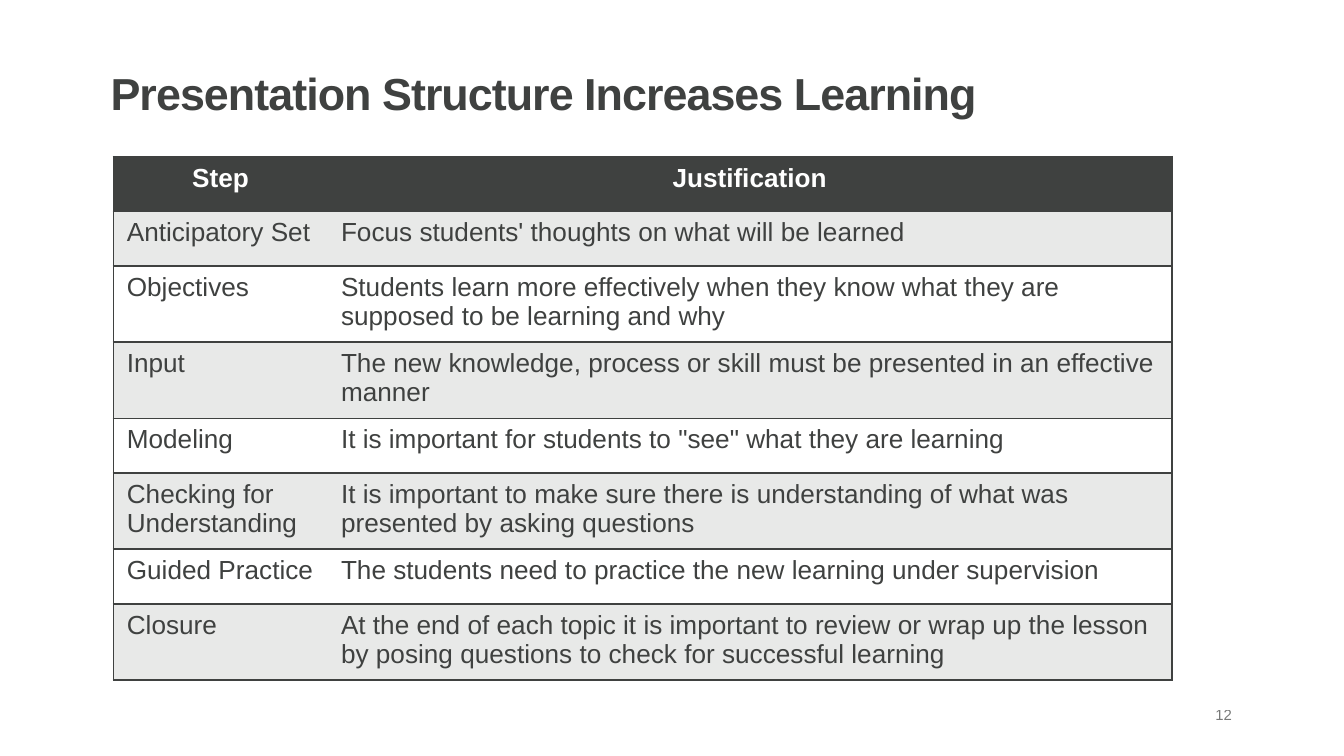
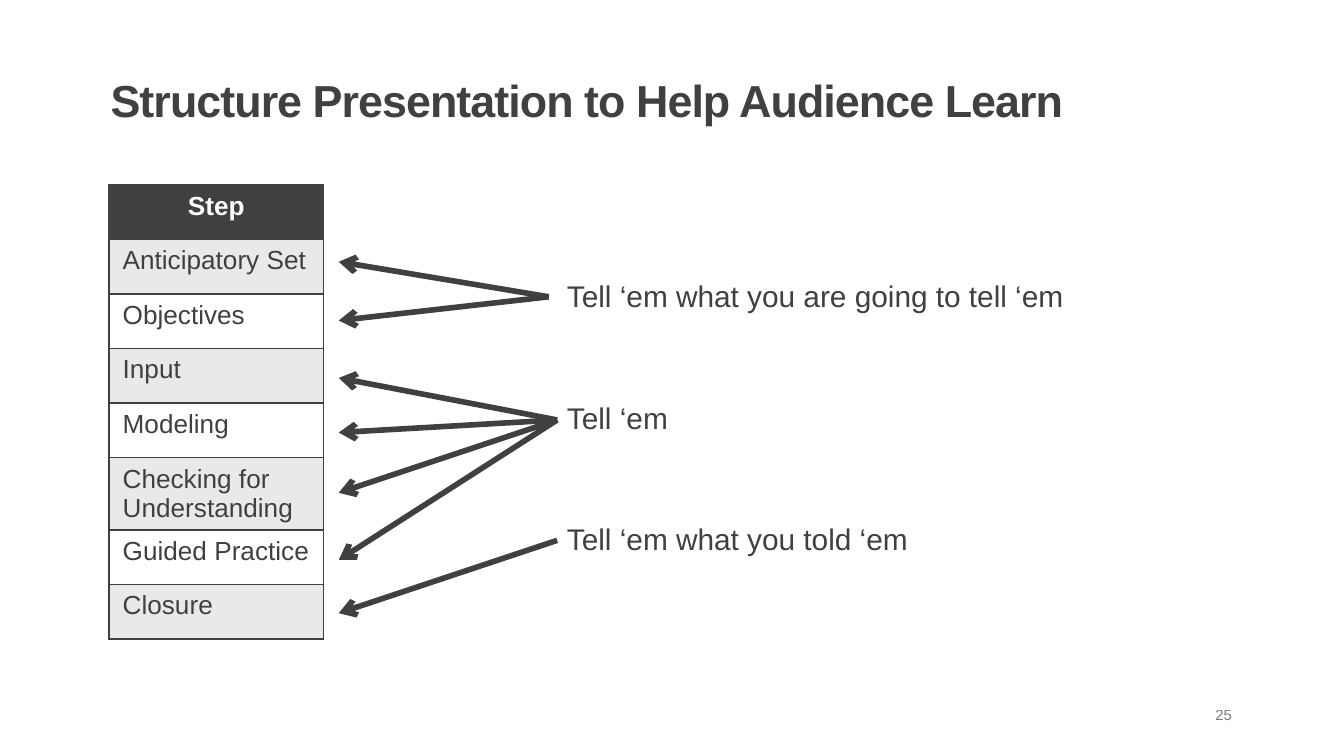
"""Build two slides that link lesson steps to the structure of a presentation."""
from dataclasses import dataclass

from lxml.etree import SubElement
from pptx import Presentation
from pptx.dml.color import RGBColor
from pptx.enum.shapes import MSO_CONNECTOR
from pptx.enum.text import MSO_ANCHOR, MSO_AUTO_SIZE, PP_ALIGN
from pptx.oxml.ns import qn
from pptx.util import Emu, Pt

EMU_PER_PX = 9525
FONT = "Arial"
COLORS = {"ink": "3F4140", "band": "E8E9E8", "paper": "FFFFFF"}
NO_GRID_STYLE = "{2D5ABB26-0587-4C30-8999-92F81FD0307C}"
ROW_HEIGHT = 39
STEP_WIDTH = 153
JUSTIFICATION_WIDTH = 603
ARROW_TIP_X = 242
LEFT_SIDE = 1


@dataclass(frozen=True)
class Box:
    left: int
    top: int
    width: int
    height: int


@dataclass(frozen=True)
class Style:
    size: int
    color: str = "ink"
    bold: bool = False


@dataclass(frozen=True)
class Fan:
    x: int
    y: int
    tips: tuple[int, ...]
    joins_advice: bool = False


TITLE = Style(24, bold=True)
HEADER = Style(14, "paper", True)
CELL = Style(14)
ADVICE = Style(16)
PAGE = Style(8)
PAGE_BOX = Box(671, 500, 216, 21)

LESSON = [
    ("Step", "Justification"),
    ("Anticipatory Set", "Focus students' thoughts on what will be learned"),
    ("Objectives", "Students learn more effectively when they know what they are "
                   "supposed to be learning and why"),
    ("Input", "The new knowledge, process or skill must be presented in an effective manner"),
    ("Modeling", "It is important for students to \"see\" what they are learning"),
    ("Checking for Understanding", "It is important to make sure there is understanding "
                                   "of what was presented by asking questions"),
    ("Guided Practice", "The students need to practice the new learning under supervision"),
    ("Closure", "At the end of each topic it is important to review or wrap up the lesson "
                "by posing questions to check for successful learning"),
]
ADVICE_LINES = [
    "Tell ‘em what you are going to tell ‘em",
    "Tell ‘em",
    "Tell ‘em what you told ‘em",
]
FANS = [
    Fan(392, 212, (187, 229)),
    Fan(398, 386, (438,)),
    Fan(398, 300, (400, 352, 309, 270), joins_advice=True),
]


def px(length: int) -> Emu:
    """Turn px into EMU."""
    return Emu(length * EMU_PER_PX)


def rgb(name: str) -> RGBColor:
    """Look up a named colour."""
    return RGBColor.from_string(COLORS[name])


def add_run(paragraph, text: str, style: Style):
    """Add one formatted run to a paragraph."""
    run = paragraph.add_run()
    run.text = text
    run.font.name = FONT
    run.font.size = Pt(style.size)
    run.font.bold = style.bold
    run.font.color.rgb = rgb(style.color)
    return run


def place(shape, box: Box) -> None:
    """Move and size a shape."""
    shape.left, shape.top = px(box.left), px(box.top)
    shape.width, shape.height = px(box.width), px(box.height)


def set_frame(shape, fit: MSO_AUTO_SIZE = MSO_AUTO_SIZE.NONE):
    """Give a text frame the shared insets, wrapping and anchor."""
    frame = shape.text_frame
    frame.margin_left = frame.margin_right = px(7)
    frame.margin_top = frame.margin_bottom = px(4)
    frame.word_wrap = True
    frame.auto_size = fit
    frame.vertical_anchor = MSO_ANCHOR.TOP
    return frame


def add_title(slide, text: str, box: Box) -> None:
    """Fill the title placeholder."""
    title = slide.shapes.title
    place(title, box)
    paragraph = set_frame(title, MSO_AUTO_SIZE.SHAPE_TO_FIT_TEXT).paragraphs[0]
    paragraph.alignment = PP_ALIGN.LEFT
    paragraph.line_spacing = 0.9
    run = add_run(paragraph, text, TITLE)
    run.font._element.set("spc", "-50")


def add_page_number(slide, number: int) -> None:
    """Write the faded page number at the lower right."""
    page = slide.shapes.add_textbox(0, 0, 0, 0)
    place(page, PAGE_BOX)
    paragraph = set_frame(page).paragraphs[0]
    paragraph.alignment = PP_ALIGN.RIGHT
    run = add_run(paragraph, str(number), PAGE)
    ink = run.font._element.find(f".//{qn('a:srgbClr')}")
    SubElement(ink, qn("a:alpha"), val="70000")


def add_borders(cell, sides: str) -> None:
    """Draw one-point borders on the given sides, in L R T B order."""
    properties = cell._tc.get_or_add_tcPr()
    for position, side in enumerate(sides):
        border = SubElement(properties, qn(f"a:ln{side}"), w=str(Pt(1)))
        fill = SubElement(border, qn("a:solidFill"))
        SubElement(fill, qn("a:srgbClr"), val=COLORS["ink"])
        properties.insert(position, border)


def add_step_table(slide, left: int, top: int, widths: list[int]) -> None:
    """Draw as many columns of the lesson as there are widths."""
    table = slide.shapes.add_table(
        len(LESSON), len(widths), px(left), px(top),
        px(sum(widths)), px(ROW_HEIGHT * len(LESSON))).table
    table._tbl.tblPr.find(qn("a:tableStyleId")).text = NO_GRID_STYLE
    table.horz_banding = False
    for column, width in zip(table.columns, widths):
        column.width = px(width)
    last = len(widths) - 1
    for row, texts in enumerate(LESSON):
        table.rows[row].height = px(ROW_HEIGHT)
        for column in range(len(widths)):
            cell = table.cell(row, column)
            cell.fill.solid()
            band = "band" if row % 2 else "paper"
            cell.fill.fore_color.rgb = rgb(band if row else "ink")
            outer = ("L" if column == 0 else "") + ("R" if column == last else "")
            add_borders(cell, outer + "TB")
            paragraph = cell.text_frame.paragraphs[0]
            paragraph.alignment = PP_ALIGN.LEFT if row else PP_ALIGN.CENTER
            add_run(paragraph, texts[column], CELL if row else HEADER)


def add_advice(slide, box: Box):
    """Fill the body placeholder with widely spaced lines without bullets."""
    advice = slide.placeholders[1]
    place(advice, box)
    frame = set_frame(advice)
    for index, line in enumerate(ADVICE_LINES):
        paragraph = frame.add_paragraph() if index else frame.paragraphs[0]
        paragraph.alignment = PP_ALIGN.LEFT
        paragraph.line_spacing = 1.3
        paragraph.space_before = Pt(7.5)
        paragraph.space_after = Pt(32.5)
        properties = paragraph._p.get_or_add_pPr()
        properties.set("marL", "0")
        properties.set("indent", "0")
        SubElement(properties, qn("a:buNone"))
        add_run(paragraph, line, ADVICE)
    return advice


def add_fan(slide, fan: Fan, advice) -> None:
    """Draw arrows from one point to the steps it covers."""
    for tip in fan.tips:
        arrow = slide.shapes.add_connector(
            MSO_CONNECTOR.STRAIGHT, px(fan.x), px(fan.y), px(ARROW_TIP_X), px(tip))
        if fan.joins_advice:
            arrow.begin_connect(advice, LEFT_SIDE)
        arrow.line.color.rgb = rgb("ink")
        arrow.line.width = Pt(3)
        SubElement(arrow.line._get_or_add_ln(), qn("a:tailEnd"), type="arrow")
        SubElement(arrow._element.spPr, qn("a:effectLst"))


def main() -> None:
    """Build and save the deck."""
    deck = Presentation()
    deck.slide_width, deck.slide_height = px(960), px(540)

    justification = deck.slides.add_slide(deck.slide_layouts[5])
    add_page_number(justification, 12)
    add_title(justification, "Presentation Structure Increases Learning", Box(72, 47, 654, 78))
    add_step_table(justification, 81, 112, [STEP_WIDTH, JUSTIFICATION_WIDTH])

    structure = deck.slides.add_slide(deck.slide_layouts[1])
    add_page_number(structure, 25)
    advice = add_advice(structure, Box(398, 187, 412, 226))
    add_title(structure, "Structure Presentation to Help Audience Learn", Box(72, 52, 707, 56))
    add_step_table(structure, 78, 132, [STEP_WIDTH])
    for fan in FANS:
        add_fan(structure, fan, advice)

    deck.save("out.pptx")


if __name__ == "__main__":
    main()
